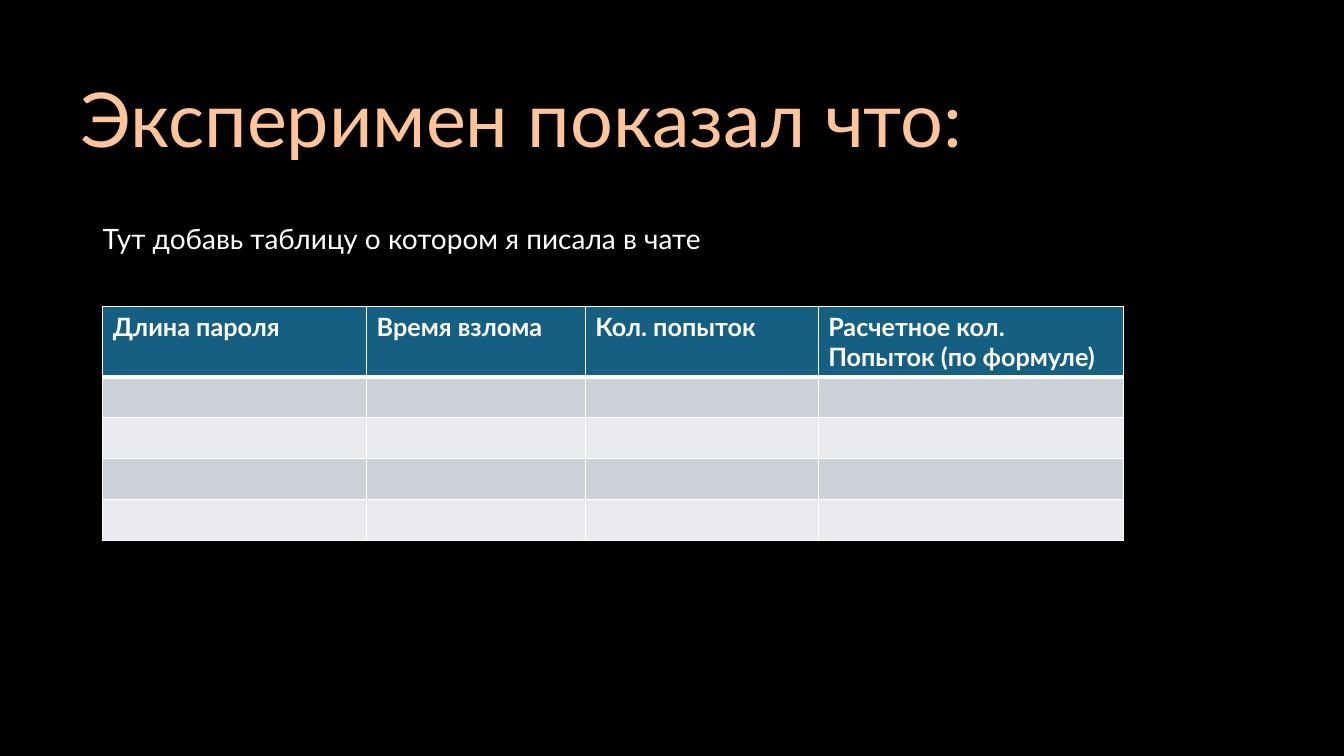
from lxml import etree
from pptx import Presentation
from pptx.dml.color import RGBColor
from pptx.enum import text
from pptx.oxml import ns
from pptx.util import Cm, Pt

FONT = "Lato"
WHITE = "FFFFFF"
HEADER_FILL = "156082"
BAND_FILLS = ("CCD2D8", "E8EAED")

TITLE = "Эксперимен показал что:"
NOTE = "Тут добавь таблицу о котором я писала в чате"
# heading, column width in cm
COLUMNS = [
    ("Длина пароля", 6.65),
    ("Время взлома", 5.51),
    ("Кол. попыток", 5.87),
    ("Расчетное кол. Попыток (по формуле)", 7.69),
]
EMPTY_ROWS = 4
HEADER_HEIGHT, ROW_HEIGHT = 1.78, 1.03
TABLE_LEFT, TABLE_TOP = 2.59, 7.72


def color(hex_code):
    return RGBColor.from_string(hex_code)


def style(para, size, hex_code, bold=False):
    para.font.name = FONT
    para.font.size = Pt(size)
    para.font.bold = bold
    para.font.color.rgb = color(hex_code)


def add_text(page, wording, left, top, width, height, size, hex_code, anchor):
    box = page.shapes.add_textbox(Cm(left), Cm(top), Cm(width), Cm(height))
    frame = box.text_frame
    frame.word_wrap = True
    frame.vertical_anchor = anchor
    para = frame.paragraphs[0]
    para.text = wording
    para.line_spacing = 0.9
    style(para, size, hex_code)
    return para


def add_borders(cell, top, bottom):
    """Draw white cell edges; top and bottom are widths in points."""
    properties = cell._tc.get_or_add_tcPr()
    for side, width in (("L", 1), ("R", 1), ("T", top), ("B", bottom)):
        line = etree.SubElement(properties, ns.qn(f"a:ln{side}"), w=str(Pt(width)))
        fill = etree.SubElement(line, ns.qn("a:solidFill"))
        etree.SubElement(fill, ns.qn("a:srgbClr"), val=WHITE)


def add_results_table(page):
    width = sum(column_width for _, column_width in COLUMNS)
    height = HEADER_HEIGHT + EMPTY_ROWS * ROW_HEIGHT
    table = page.shapes.add_table(
        EMPTY_ROWS + 1, len(COLUMNS),
        Cm(TABLE_LEFT), Cm(TABLE_TOP), Cm(width), Cm(height),
    ).table
    for column, (heading, column_width) in enumerate(COLUMNS):
        table.columns[column].width = Cm(column_width)
        table.cell(0, column).text = heading
    for number, row in enumerate(table.rows):
        is_header = number == 0
        row.height = Cm(HEADER_HEIGHT if is_header else ROW_HEIGHT)
        row_fill = HEADER_FILL if is_header else BAND_FILLS[(number - 1) % 2]
        for cell in row.cells:
            add_borders(cell, 3 if number == 1 else 1, 3 if is_header else 1)
            cell.fill.solid()
            cell.fill.fore_color.rgb = color(row_fill)
            style(cell.text_frame.paragraphs[0], 18, WHITE, is_header)


def main():
    deck = Presentation()
    deck.slide_width, deck.slide_height = Cm(33.87), Cm(19.05)
    page = deck.slides.add_slide(deck.slide_layouts[6])
    page.background.fill.solid()
    page.background.fill.fore_color.rgb = color("000000")

    note = add_text(page, NOTE, 2.34, 5.56, 29.21, 1.3, 20, WHITE,
                    text.MSO_ANCHOR.TOP)
    note.space_before = Pt(10)
    add_results_table(page)
    add_text(page, TITLE, 1.78, 0.91, 27.08, 3.35, 54, "FFC499",
             text.MSO_ANCHOR.BOTTOM)
    deck.save("out.pptx")


if __name__ == "__main__":
    main()
